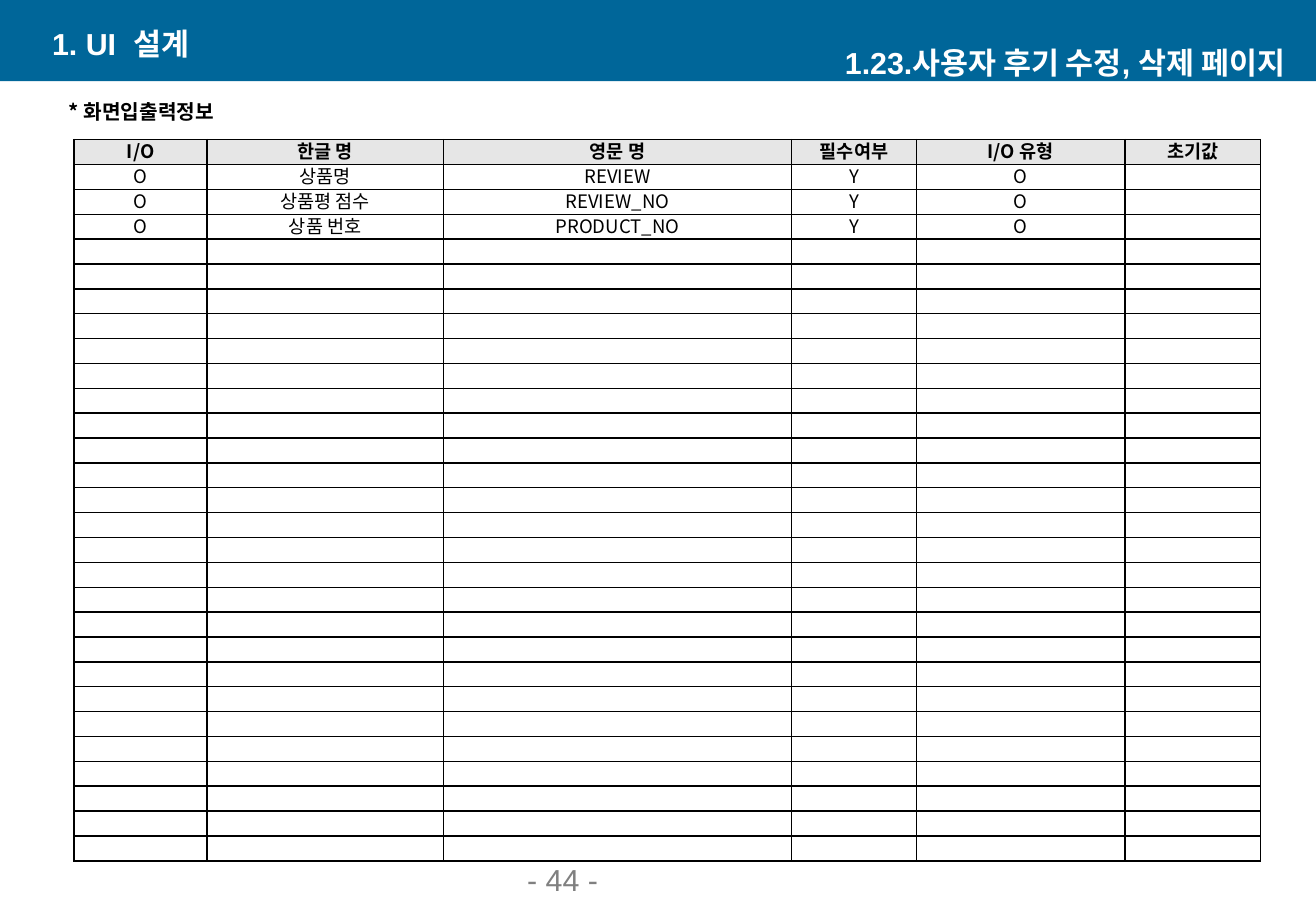
from typing import NamedTuple

from lxml.etree import SubElement
from pptx import Presentation
from pptx.dml.color import RGBColor
from pptx.enum.shapes import MSO_SHAPE
from pptx.enum.text import MSO_ANCHOR, PP_ALIGN
from pptx.oxml.ns import qn
from pptx.util import Cm, Pt

LATIN_FONT = "Arial"
KOREAN_FONT = "Noto Sans CJK KR"
ROW_COUNT = 29
ROW_HEIGHT = 0.52


class Column(NamedTuple):
    heading: str
    width: float
    values: tuple[str, ...]


class Place(NamedTuple):
    left: float
    top: float
    width: float
    height: float


COLUMNS = (
    Column("I/O", 2.78, ("O", "O", "O")),
    Column("한글 명", 4.94, ("상품명", "상품평 점수", "상품 번호")),
    Column("영문 명", 7.28, ("REVIEW", "REVIEW_NO", "PRODUCT_NO")),
    Column("필수여부", 2.61, ("Y", "Y", "Y")),
    Column("I/O 유형", 4.36, ("O", "O", "O")),
    Column("초기값", 2.83, ()),
)


def color(value: str) -> RGBColor:
    return RGBColor.from_string(value)


def write(frame, text: str, *, size: float, font: str = LATIN_FONT, fill: str = "000000",
          bold: bool = False, align=PP_ALIGN.LEFT, anchor=MSO_ANCHOR.MIDDLE,
          line: float | None = None) -> None:
    frame.vertical_anchor = anchor
    para = frame.paragraphs[0]
    para.alignment = align
    if line:
        para.line_spacing = Pt(line)
    span = para.add_run()
    span.text = text
    span.font.size = Pt(size)
    span.font.name = font
    span.font.bold = bold
    span.font.color.rgb = color(fill)
    SubElement(span.font._element, qn("a:ea"), typeface=KOREAN_FONT)


def put(shape, place: Place) -> None:
    shape.left, shape.top, shape.width, shape.height = map(Cm, place)


def add_label(page, place: Place, text: str, *, wrap: bool = True, **style) -> None:
    box = page.shapes.add_textbox(*map(Cm, place))
    box.text_frame.word_wrap = wrap
    write(box.text_frame, text, **style)


def add_band(page, width: int) -> None:
    """Put the blue heading band behind everything else."""
    band = page.shapes.add_shape(MSO_SHAPE.RECTANGLE, 0, 0, width, Cm(1.7))
    band.shadow.inherit = False
    band.fill.solid()
    band.fill.fore_color.rgb = color("006699")
    band.line.fill.background()
    page.shapes._spTree.insert(2, band._element)


def add_borders(cell) -> None:
    properties = cell._tc.get_or_add_tcPr()
    for side in ("lnL", "lnR", "lnT", "lnB"):
        border = SubElement(properties, qn(f"a:{side}"), w=str(Pt(1)))
        solid = SubElement(border, qn("a:solidFill"))
        SubElement(solid, qn("a:srgbClr"), val="000000")


def fill_cell(cell, text: str, is_heading: bool) -> None:
    add_borders(cell)
    cell.margin_left = cell.margin_right = Cm(0.18 if is_heading else 0.03)
    cell.margin_top = cell.margin_bottom = 0
    if is_heading:
        cell.fill.solid()
        cell.fill.fore_color.rgb = color("E6E6E6")
    else:
        cell.fill.background()
    if text:
        write(cell.text_frame, text, size=11, font=KOREAN_FONT, bold=is_heading,
              align=PP_ALIGN.CENTER, line=14)
        cell.vertical_anchor = MSO_ANCHOR.MIDDLE
    else:
        SubElement(cell.text_frame.paragraphs[0]._p, qn("a:endParaRPr"), sz="800")


def add_field_table(page) -> None:
    width = sum(column.width for column in COLUMNS)
    frame = page.shapes.add_table(ROW_COUNT, len(COLUMNS), Cm(1.55), Cm(2.92),
                                  Cm(width), Cm(ROW_COUNT * ROW_HEIGHT))
    table = frame.table
    table.first_row = table.horz_banding = False
    for row in table.rows:
        row.height = Cm(ROW_HEIGHT)
    for column_index, column in enumerate(COLUMNS):
        table.columns[column_index].width = Cm(column.width)
        texts = (column.heading, *column.values)
        for row_index in range(ROW_COUNT):
            text = texts[row_index] if row_index < len(texts) else ""
            fill_cell(table.cell(row_index, column_index), text, row_index == 0)


def main() -> None:
    deck = Presentation()
    deck.slide_width, deck.slide_height = Cm(27.51), Cm(19.05)
    page = deck.slides.add_slide(deck.slide_layouts[5])

    title = page.shapes.title
    put(title, Place(16.38, 0.89, 11.13, 0.84))
    title.text_frame.margin_right = Cm(0.64)
    write(title.text_frame, "1.23.사용자 후기 수정, 삭제 페이지", size=18, fill="FFFFFF",
          bold=True, align=PP_ALIGN.RIGHT)
    add_band(page, deck.slide_width)

    add_label(page, Place(0.84, 0.48, 11.13, 0.84), "1. UI  설계", size=18,
              fill="FFFFFF", bold=True)
    add_label(page, Place(1.19, 1.96, 3.86, 0.74), "* 화면입출력정보", wrap=False,
              size=12, font=KOREAN_FONT, bold=True)
    add_field_table(page)
    add_label(page, Place(10.77, 18.11, 5.74, 0.79), "- 44 -", size=18, fill="808080",
              anchor=MSO_ANCHOR.BOTTOM)
    deck.save("out.pptx")


if __name__ == "__main__":
    main()
